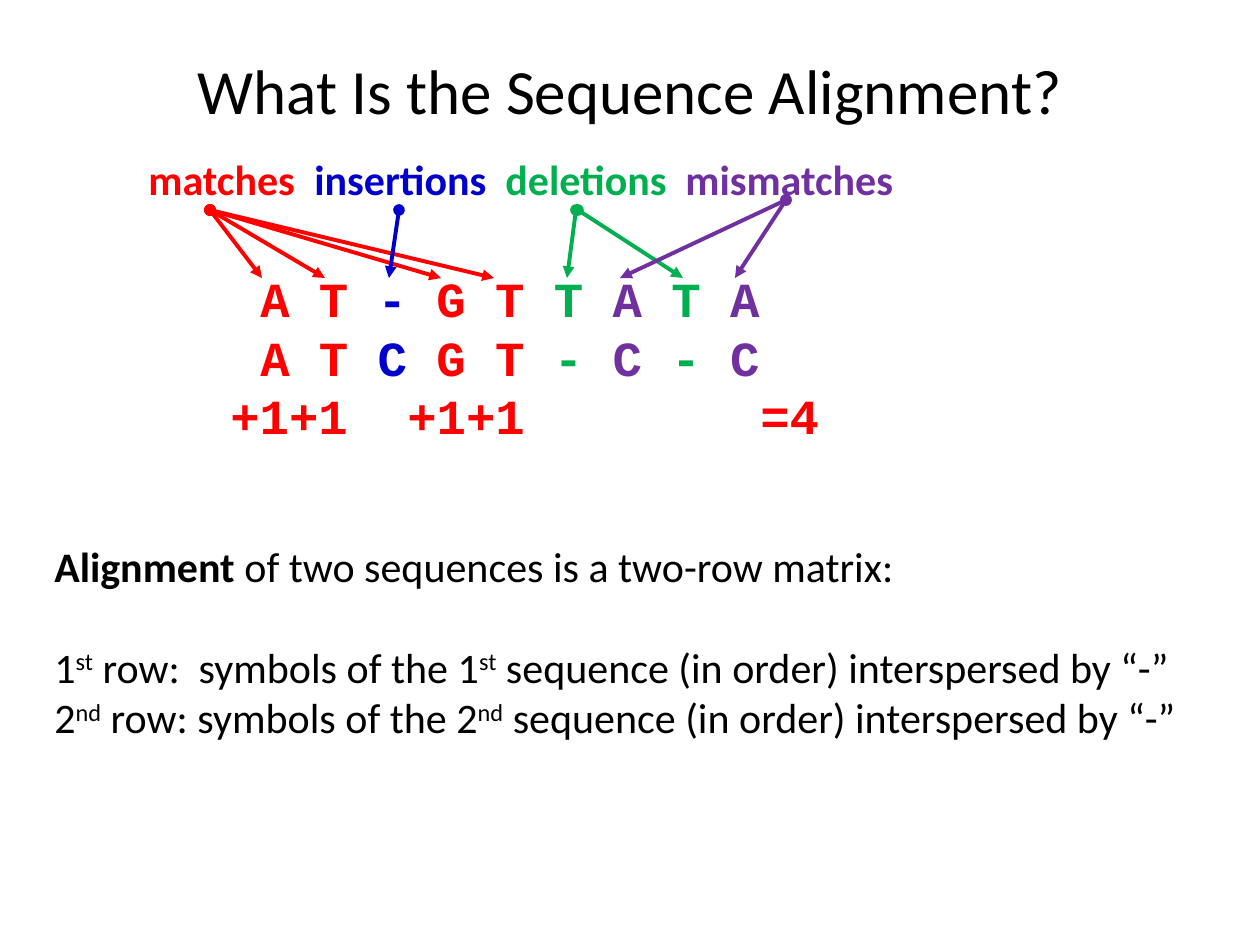
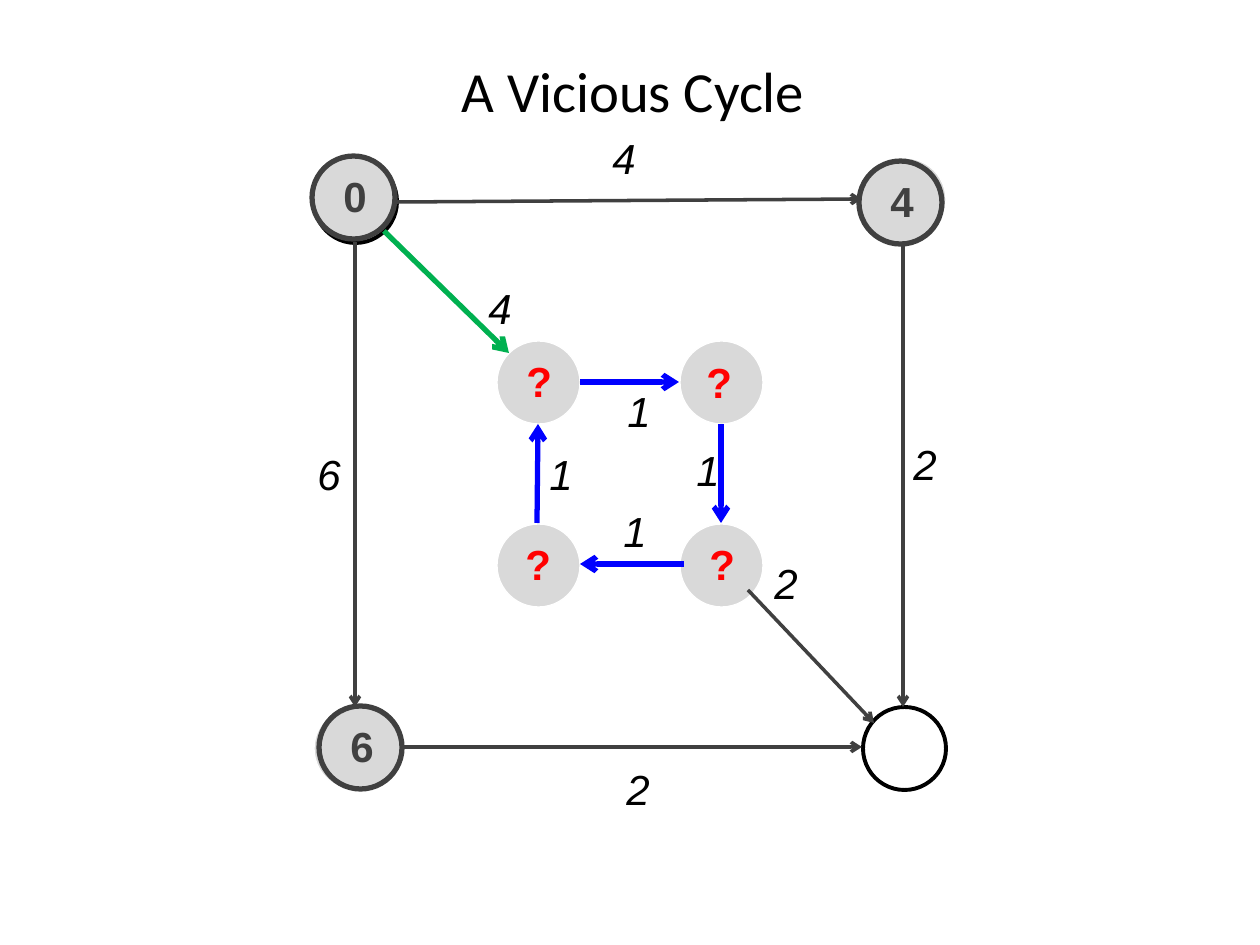
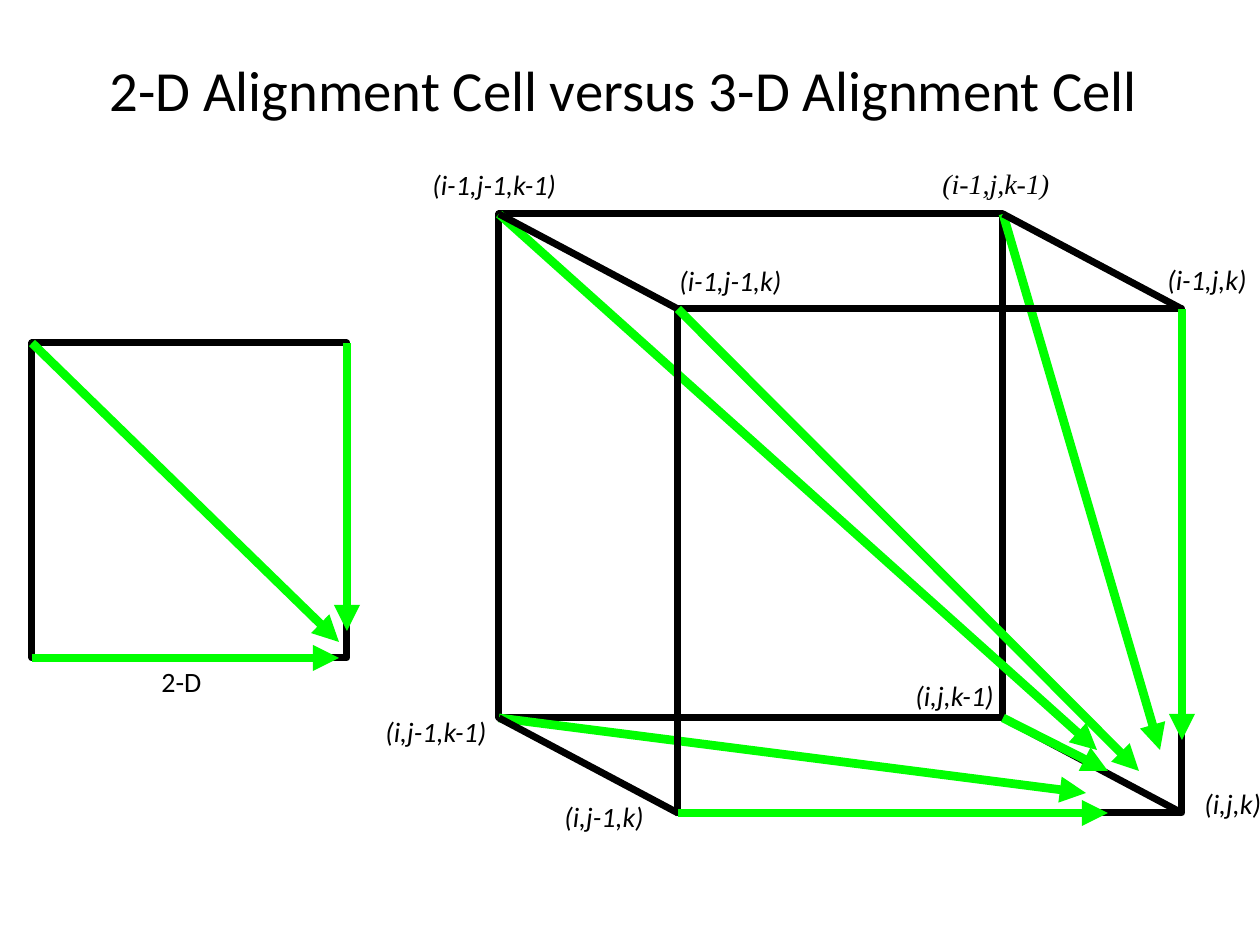
from lxml import etree
from pptx import Presentation
from pptx.dml.color import RGBColor
from pptx.enum.shapes import MSO_CONNECTOR as Connector, MSO_SHAPE as Shape
from pptx.enum.text import MSO_ANCHOR as Anchor, PP_ALIGN as Align
from pptx.oxml.ns import qn
from pptx.util import Emu, Pt

SCALE = 914400 / 126
BLACK, WHITE, GREY, DARK = "000000", "FFFFFF", "D9D9D9", "404040"
RED, NAVY, GREEN, PURPLE = "FF0000", "0000CC", "00B050", "7030A0"
BLUE, LIME = "0000FF", "00FF00"
SANS, BODY, MONO, SERIF = "Arial", "Calibri", "Courier New", "Times New Roman"


def px(length):
    """Turn a length in px into EMU."""
    return Emu(round(length * SCALE))


def color(value):
    """Turn a hex string into a colour."""
    return RGBColor.from_string(value)


def style(span, size, font=BODY, ink=BLACK, bold=False, italic=False):
    """Format one run."""
    span.font.size = Pt(size)
    span.font.name = font
    span.font.bold = bold
    span.font.italic = italic
    span.font.color.rgb = color(ink)


def add_frame(page, left, top, width, height):
    """Add an empty wrapping text box and return its frame."""
    box = page.shapes.add_textbox(px(left), px(top), px(width), px(height))
    box.text_frame.word_wrap = True
    return box.text_frame


def add_text(page, left, top, width, height, text, size, **look):
    """Add a text box with one formatted paragraph."""
    frame = add_frame(page, left, top, width, height)
    frame.text = text
    style(frame.paragraphs[0].runs[0], size, **look)
    return frame


def add_title(page, text, size=32.4, box=(63, 10, 1134, 158)):
    """Add the centred slide title."""
    frame = add_text(page, *box, text, size)
    frame.vertical_anchor = Anchor.MIDDLE
    frame.paragraphs[0].alignment = Align.CENTER


def add_span(para, text, size, **look):
    """Append one formatted run to a paragraph."""
    span = para.add_run()
    span.text = text
    style(span, size, **look)
    return span


def set_tabs(para, stops):
    """Give a paragraph left tab stops."""
    tabs = etree.SubElement(para._p.get_or_add_pPr(), qn("a:tabLst"))
    for stop in stops:
        etree.SubElement(tabs, qn("a:tab"), pos=str(px(stop)), algn="l")


def add_shape(page, kind, left, top, width, height, ink, weight, fill=None):
    """Add an outlined shape, filled or hollow."""
    shape = page.shapes.add_shape(kind, px(left), px(top), px(width), px(height))
    shape.shadow.inherit = False
    shape.line.color.rgb = color(ink)
    shape.line.width = Pt(weight)
    if fill:
        shape.fill.solid()
        shape.fill.fore_color.rgb = color(fill)
    else:
        shape.fill.background()


def add_line(page, origin, start, end, ink, weight, head=None, tail=None):
    """Draw a straight line between two points relative to an origin."""
    (left, top), (x1, y1), (x2, y2) = origin, start, end
    line = page.shapes.add_connector(
        Connector.STRAIGHT, px(left + x1), px(top + y1), px(left + x2), px(top + y2))
    line.line.color.rgb = color(ink)
    line.line.width = Pt(weight)
    outline = line.line._get_or_add_ln()
    for tag, kind in (("a:headEnd", head), ("a:tailEnd", tail)):
        if kind:
            etree.SubElement(outline, qn(tag), type=kind)
    etree.SubElement(line._element.spPr, qn("a:effectLst"))


def alignment_example(page, left, top):
    """Draw the coloured legend, its arrows and the aligned sequences."""
    legend = add_frame(page, left, top, 788, 63).paragraphs[0]
    set_tabs(legend, (166, 357, 537))
    words = (("matches", RED), ("\tinsertions", NAVY),
             ("\tdeletions", GREEN), ("\tmismatches", PURPLE))
    for word, ink in words:
        add_span(legend, word, 24, ink=ink, bold=True)

    frame = add_frame(page, left + 53, top + 115, 819, 360)
    columns = (RED, RED, NAVY, RED, RED, GREEN, PURPLE, GREEN, PURPLE)
    for number, sequence in enumerate(("AT-GTTATA", "ATCGT-C-C")):
        para = frame.add_paragraph() if number else frame.paragraphs[0]
        set_tabs(para, (59,))
        for column, (symbol, ink) in enumerate(zip(sequence, columns)):
            gap = " " if column else "\t"
            add_span(para, gap + symbol, 28, font=MONO, ink=ink, bold=True)
    score = frame.add_paragraph()
    set_tabs(score, (29, 206, 559))
    add_span(score, "\t+1+1\t+1+1\t=4", 28, font=MONO, ink=RED, bold=True)

    arrows = (((74, 63), (126, 358, 305, 189), RED),
              ((263, 63), (253,), NAVY),
              ((440, 63), (431,), GREEN),
              ((442, 63), (547,), GREEN),
              ((650, 53), (599, 484), PURPLE))
    for start, targets, ink in arrows:
        for target in targets:
            add_line(page, (left, top), start, (target, 131), ink, 2.25, "oval", "triangle")


def alignment_definition(page, left, top):
    """Write the definition of an alignment."""
    frame = add_frame(page, left, top, 1207, 267)
    intro = frame.paragraphs[0]
    add_span(intro, "Alignment", 24, bold=True)
    add_span(intro, " of two sequences is a two-row matrix:", 24)
    rows = (("1", "st", " row:  symbols of the "), ("2", "nd", " row: symbols of the "))
    for digit, suffix, middle in rows:
        para = frame.add_paragraph()
        if digit == "1":
            para.space_before = Pt(29)
        for text in (digit, suffix, middle + digit, suffix,
                     " sequence (in order) interspersed by “-”"):
            span = add_span(para, text, 24)
            if text == suffix:
                span._r.get_or_add_rPr().set("baseline", "30000")


def vicious_cycle(page, left, top):
    """Draw the weighted graph with a cycle at its centre."""
    origin, size, pitch = (left, top), 83, 183
    add_shape(page, Shape.OVAL, left, top + 2, size, size, BLACK, 2.25, WHITE)
    for column, row in ((3, 0), (1, 1), (2, 1), (1, 2), (2, 2), (0, 3)):
        add_shape(page, Shape.OVAL, left + column * pitch, top + row * pitch,
                  size, size, WHITE, 0.75, GREY)
    add_shape(page, Shape.OVAL, left + 3 * pitch, top + 3 * pitch,
              size, size, BLACK, 2.25, WHITE)

    edges = ((GREEN, 3, (((70, 73), (195, 195)),)),
             (DARK, 2, (((83, 44), (548, 41)), ((41, 84), (41, 549)),
                        ((589, 83), (589, 549)), ((83, 589), (548, 589)),
                        ((434, 432), (560, 565)))),
             (BLUE, 3, (((266, 224), (365, 224)), ((223, 365), (224, 266)),
                        ((407, 266), (407, 365)), ((370, 406), (266, 406)))))
    for ink, weight, ends in edges:
        for start, end in ends:
            add_line(page, origin, start, end, ink, weight, tail="arrow")

    weights = (("6", -9, 284), ("4", 286, -32), ("2", 448, 393), ("1", 297, 341),
               ("1", 223, 284), ("2", 587, 274), ("4", 162, 118), ("2", 300, 599),
               ("1", 370, 280), ("1", 301, 221))
    for weight, x, y in weights:
        add_text(page, left + x, top + y, 36, 63, weight, 24, font=SANS, italic=True)

    for distance, x, y in (("0", -2, -2), ("6", 5, 548), ("4", 545, 3)):
        add_shape(page, Shape.OVAL, left + x, top + y, size, size, DARK, 3, GREY)
        add_text(page, left + x + 19, top + y + 8, 36, 63, distance, 24,
                 font=SANS, ink=DARK, bold=True)
    for x, y in ((200, 191), (199, 374), (383, 374), (380, 192)):
        add_text(page, left + x, top + y, 36, 63, "?", 24, font=SANS, ink=RED, bold=True)


def cell_arrows(page, origin, arrows):
    """Draw the green moves of an alignment cell."""
    for start, end in arrows:
        add_line(page, origin, start, end, LIME, 5, tail="triangle")


def square_cell(page, left, top, side):
    """Draw the 2-D alignment cell."""
    add_shape(page, Shape.RECTANGLE, left, top, side, side, BLACK, 4)
    cell_arrows(page, (left, top), (((side, 0), (side, side - 27)),
                                    ((0, 0), (side - 8, side - 16)),
                                    ((0, side), (side - 8, side))))
    add_text(page, left + 117, top + side, 70, 47, "2-D", 16)


def cube_cell(page, left, top, side):
    """Draw the 3-D alignment cell with its corner labels."""
    origin, right, down = (left, top), 179, 95
    far_x, far_y = side + right, side + down
    add_shape(page, Shape.RECTANGLE, left, top, side, side, BLACK, 4)
    cell_arrows(page, origin, (((side, 0), (661, 536)),
                               ((0, 0), (598, 536)),
                               ((0, side), (587, 579))))
    add_shape(page, Shape.RECTANGLE, left + right, top + down, side, side, BLACK, 4)
    for x in (0, side):
        for y in (0, side):
            add_line(page, origin, (x, y), (x + right, y + down), BLACK, 4)
    cell_arrows(page, origin, (((side, side), (609, 557)),
                               ((right, far_y), (609, far_y)),
                               ((far_x, down), (far_x, 526)),
                               ((right, down), (640, 557))))
    corners = (("(i-1,j-1,k-1)", -79, -53, BODY), ("(i,j-1,k-1)", -126, 494, BODY),
               ("(i,j-1,k)", 53, 579, BODY), ("(i-1,j-1,k)", 168, 43, BODY),
               ("(i-1,j,k)", 656, 42, BODY), ("(i,j,k)", 693, 566, BODY),
               ("(i-1,j,k-1)", 431, -54, SERIF), ("(i,j,k-1)", 404, 458, BODY))
    for corner, x, y, font in corners:
        add_text(page, left + x, top + y, 170, 47, corner, 16, font=font, italic=True)


def main():
    """Build the three slides and save the deck."""
    deck = Presentation()
    deck.slide_width, deck.slide_height = px(1260), px(945)
    alignment, cycle, cells = (deck.slides.add_slide(deck.slide_layouts[6]) for _ in range(3))

    add_title(alignment, "What Is the Sequence Alignment?", 36)
    alignment_example(alignment, 136, 147)
    alignment_definition(alignment, 42, 534)

    vicious_cycle(cycle, 314, 158)
    add_title(cycle, "A Vicious Cycle", box=(50, 53, 1166, 73))

    cube_cell(cells, 499, 214, 504)
    square_cell(cells, 32, 343, 315)
    add_title(cells, "2-D Alignment Cell versus 3-D Alignment Cell ")

    deck.save("out.pptx")


if __name__ == "__main__":
    main()
